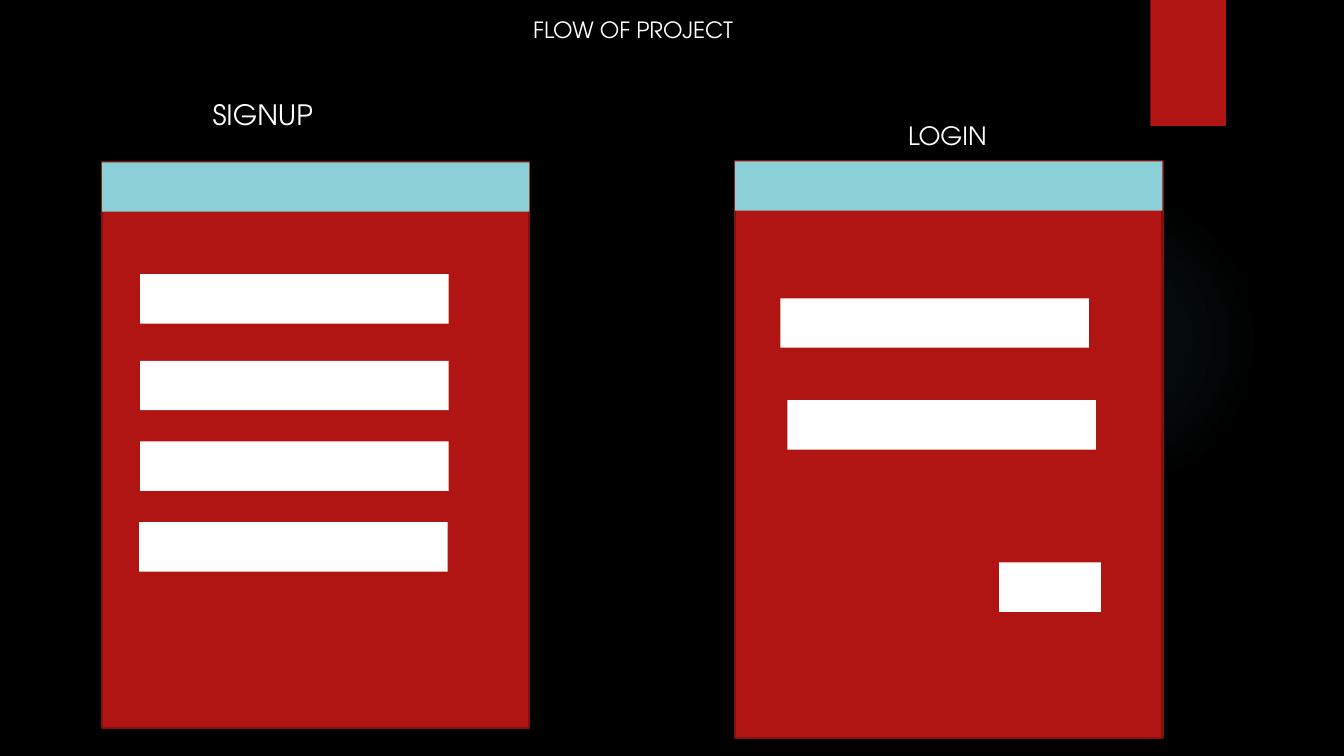
from dataclasses import dataclass

from pptx import Presentation
from pptx.dml.color import RGBColor
from pptx.enum.shapes import MSO_SHAPE
from pptx.enum.text import MSO_AUTO_SIZE, PP_ALIGN
from pptx.oxml import parse_xml
from pptx.oxml.ns import nsdecls, qn
from pptx.util import Inches, Pt

RECTANGLE = MSO_SHAPE.RECTANGLE
OVAL = MSO_SHAPE.OVAL
GROW = MSO_AUTO_SIZE.SHAPE_TO_FIT_TEXT
LEFT = PP_ALIGN.LEFT
CENTER = PP_ALIGN.CENTER


@dataclass(frozen=True)
class Theme:
    background: str = "000000"
    panel: str = "B01513"
    panel_line: str = "82100E"
    header: str = "8AD0D6"
    field: str = "FFFFFF"
    text: str = "FFFFFF"
    glow: str = "50B9C1"
    font: str = "TeX Gyre Adventor"
    title_size: int = 16
    signup_size: int = 20
    login_size: int = 18
    panel_line_width: float = 1.5


@dataclass(frozen=True)
class Box:
    left: float
    top: float
    width: float
    height: float

    def lengths(self) -> tuple:
        return tuple(Inches(n) for n in (self.left, self.top, self.width, self.height))


@dataclass(frozen=True)
class Label:
    text: str
    box: Box
    size: int
    alignment: PP_ALIGN = LEFT
    wrap: bool = True


@dataclass(frozen=True)
class Screen:
    label: Label
    panel: Box
    fields: tuple[Box, ...]
    grouped: bool = False


THEME = Theme()
BAR_HEIGHT = 0.49
FIELD_WIDTH = 3.06
PANEL_WIDTH = 4.24


def field(left: float, top: float, width: float = FIELD_WIDTH) -> Box:
    return Box(left, top, width, BAR_HEIGHT)


TITLE = Label("FLOW OF PROJECT", Box(5.08, 0.11, 2.4, 0.37), THEME.title_size, CENTER)
GLOW = Box(9.41, 1.83, 3.08, 3.08)
GLOW_STOPS = ((0, 7), (36, 6), (69, 0))
CORNER_TAB = Box(11.41, 0, 0.75, 1.25)
SCREENS = (
    Screen(
        Label("SIGNUP", Box(2.01, 0.92, 2.24, 0.44), THEME.signup_size),
        Box(1.01, 1.61, PANEL_WIDTH, 5.61),
        (field(1.39, 2.72), field(1.39, 3.58), field(1.39, 4.38), field(1.38, 5.18)),
    ),
    Screen(
        Label("LOGIN", Box(8.91, 1.14, 1, 0.4), THEME.login_size, wrap=False),
        Box(7.29, 1.6, PANEL_WIDTH, 5.72),
        (field(7.74, 2.96), field(7.81, 3.97), field(9.91, 5.58, 1.01)),
        grouped=True,
    ),
)


def add_block(shapes, box: Box, color: str, line_color: str | None = None) -> None:
    shape = shapes.add_shape(RECTANGLE, *box.lengths())
    shape.shadow.inherit = False
    shape.fill.solid()
    shape.fill.fore_color.rgb = RGBColor.from_string(color)
    if line_color:
        shape.line.color.rgb = RGBColor.from_string(line_color)
        shape.line.width = Pt(THEME.panel_line_width)
    else:
        shape.line.fill.background()


def add_glow(shapes) -> None:
    shape = shapes.add_shape(OVAL, *GLOW.lengths())
    shape.shadow.inherit = False
    shape.line.fill.background()
    shape.fill.background()
    stops = "".join(
        f'<a:gs pos="{position * 1000}"><a:srgbClr val="{THEME.glow}">'
        f'<a:alpha val="{opacity * 1000}"/></a:srgbClr></a:gs>'
        for position, opacity in GLOW_STOPS
    )
    gradient = parse_xml(
        f'<a:gradFill {nsdecls("a")} rotWithShape="1"><a:gsLst>{stops}</a:gsLst>'
        '<a:path path="circle"><a:fillToRect l="50000" t="50000" r="50000" b="50000"/>'
        "</a:path></a:gradFill>"
    )
    properties = shape.element.spPr
    properties.replace(properties.find(qn("a:noFill")), gradient)


def add_label(shapes, label: Label) -> None:
    frame = shapes.add_textbox(*label.box.lengths()).text_frame
    frame.word_wrap = label.wrap
    frame.auto_size = GROW
    paragraph = frame.paragraphs[0]
    paragraph.text = label.text
    paragraph.alignment = label.alignment
    paragraph.font.name = THEME.font
    paragraph.font.size = Pt(label.size)
    paragraph.font.color.rgb = RGBColor.from_string(THEME.text)


def add_screen(shapes, screen: Screen) -> None:
    add_label(shapes, screen.label)
    panel = screen.panel
    panel_shapes = shapes.add_group_shape().shapes if screen.grouped else shapes
    add_block(panel_shapes, panel, THEME.panel, THEME.panel_line)
    add_block(panel_shapes, field(panel.left, panel.top, panel.width), THEME.header)
    for box in screen.fields:
        add_block(shapes, box, THEME.field)


def main() -> None:
    presentation = Presentation()
    presentation.slide_width = Inches(13.33)
    presentation.slide_height = Inches(7.5)
    slide = presentation.slides.add_slide(presentation.slide_layouts[6])
    slide.background.fill.solid()
    slide.background.fill.fore_color.rgb = RGBColor.from_string(THEME.background)
    add_glow(slide.shapes)
    add_block(slide.shapes, CORNER_TAB, THEME.panel)
    add_label(slide.shapes, TITLE)
    for screen in SCREENS:
        add_screen(slide.shapes, screen)
    presentation.save("out.pptx")


if __name__ == "__main__":
    main()
